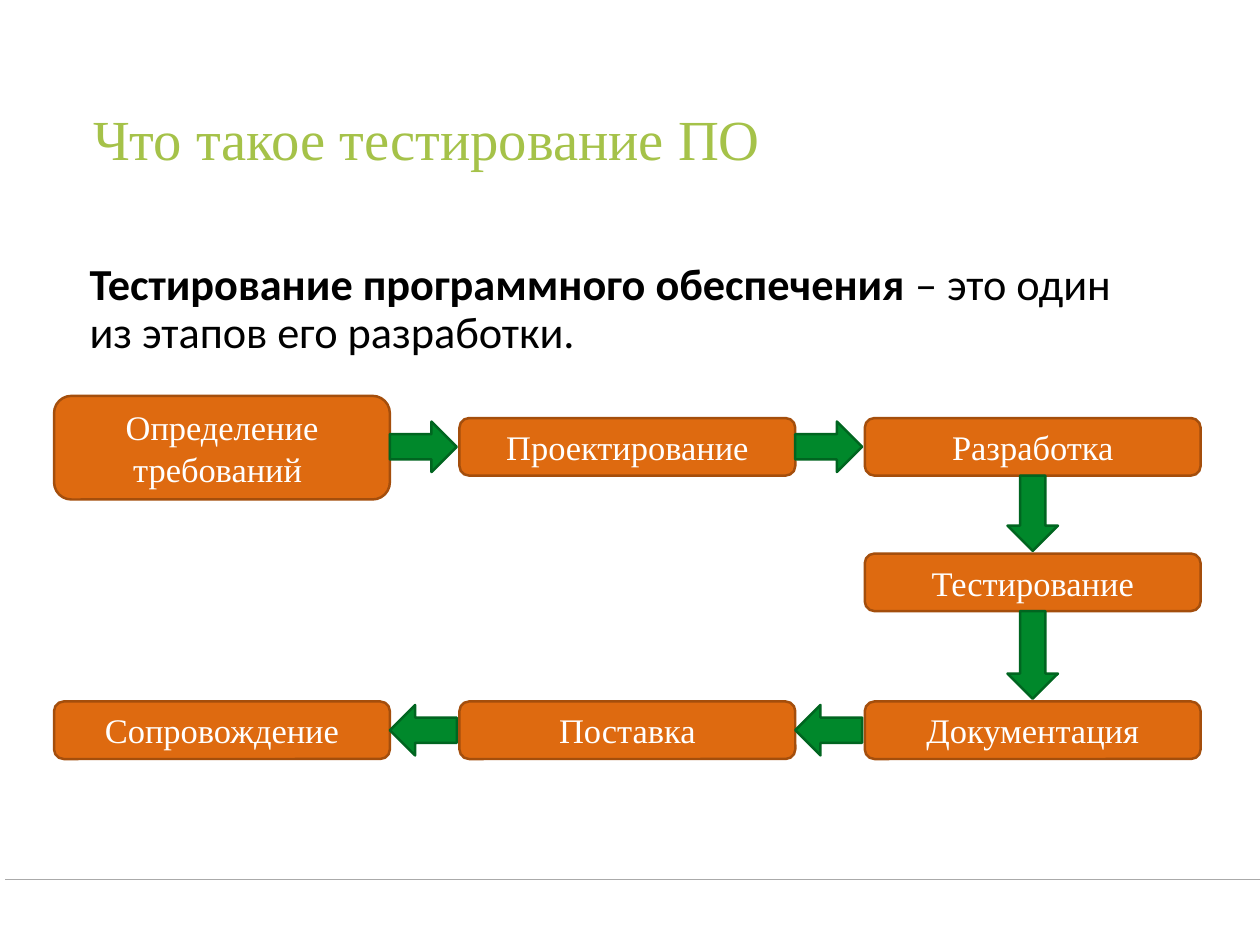
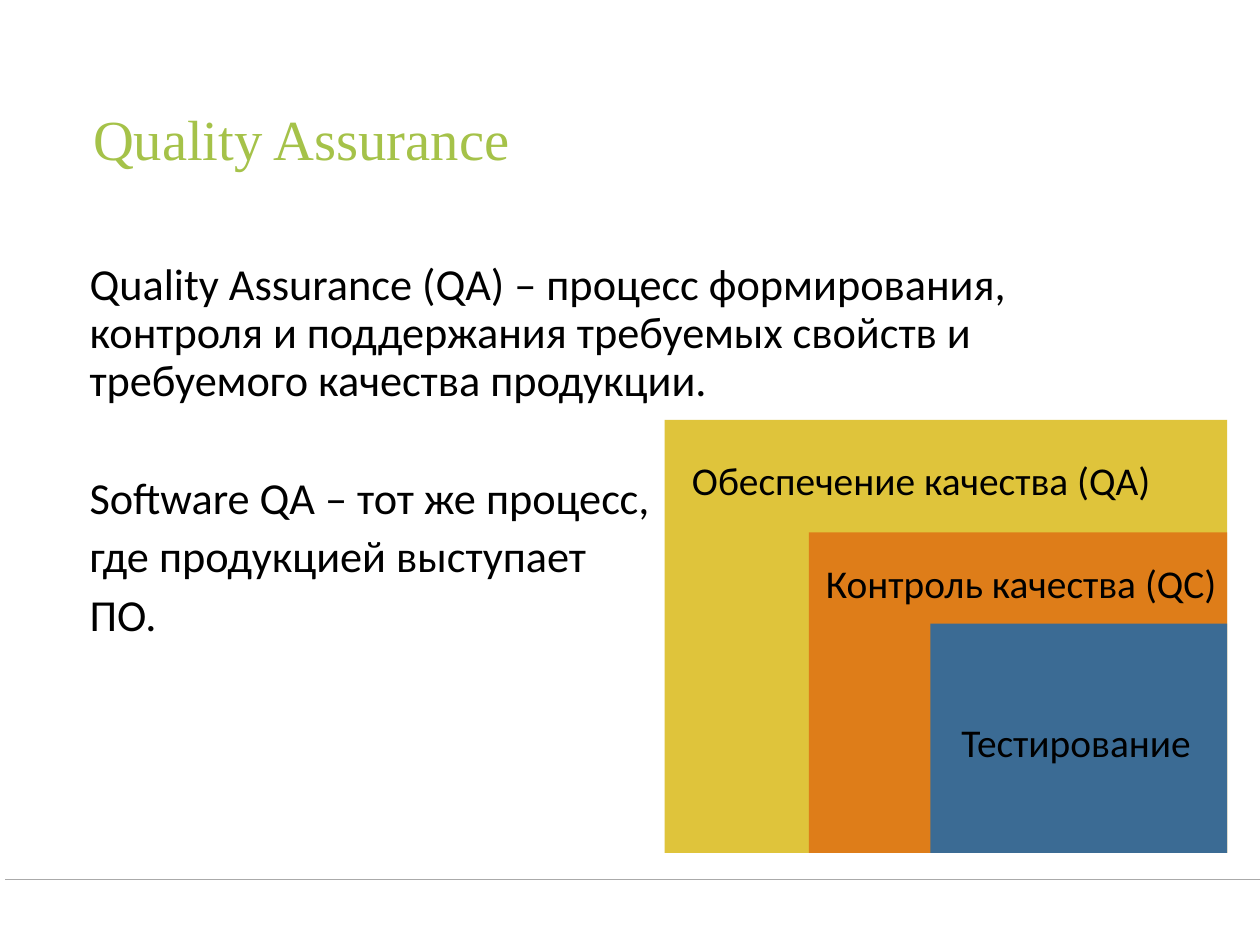
from itertools import pairwise

from lxml.etree import SubElement
from pptx import Presentation
from pptx.dml.color import RGBColor
from pptx.enum.shapes import MSO_CONNECTOR, MSO_SHAPE
from pptx.enum.text import MSO_ANCHOR, MSO_AUTO_SIZE, PP_ALIGN
from pptx.oxml.ns import qn
from pptx.util import Inches, Pt

WIDTH, HEIGHT = 14.22, 10.67
SERIF, SANS = "Times New Roman", "Calibri"
GREEN, ORANGE, BLACK, WHITE = "A5C249", "DE6A10", "000000", "FFFFFF"
TITLE_FONT = dict(name=SERIF, size=Pt(46))
BODY_FONT = dict(name=SANS, size=Pt(36))
STEP_FONT = dict(name=SERIF, size=Pt(28))
LABEL_FONT = dict(name=SANS, size=Pt(32))

# A paragraph is (space before in points, [(text, bold), ...])
TESTING = "Что такое тестирование ПО", [
    (9, [("Тестирование программного обеспечения ", True),
         ("– это один из этапов его разработки.", False)]),
]
QUALITY = "Quality Assurance", [
    (9, [("Quality Assurance (QA) – процесс формирования, контроля и поддержания "
          "требуемых свойств и требуемого качества продукции.", False)]),
    (57, [("Software QA – тот же процесс,", False)]),
    (9, [("где продукцией выступает", False)]),
    (9, [("ПО.", False)]),
]

# Steps in order of flow: text, column, row
STEPS = [
    ("Определение требований ", 0, 0),
    ("Проектирование", 1, 0),
    ("Разработка", 2, 0),
    ("Тестирование", 2, 1),
    ("Документация", 2, 2),
    ("Поставка", 1, 2),
    ("Сопровождение", 0, 2),
]
COL_LEFT, COL_PITCH, STEP_W, STEP_H = 0.61, 4.575, 3.79, 0.65
ROW_TOPS = 4.72, 6.25, 7.92
TALL_TOP, TALL_H = 4.47, 1.17
ARROW_W, ARROW_GAP = 0.57, 0.03

# Nested areas share the bottom right corner: left, top, colour, opacity %
NEST_RIGHT, NEST_BOTTOM = 13.85, 9.63
AREAS = [
    (7.5, 4.74, "DCBD23", 89),
    (9.13, 6.01, ORANGE, 78),
    (10.5, 7.04, "0365C0", 74),
]
LABELS = [
    ("Обеспечение качества (QA)", 7.75, 5.09, 5.34),
    ("Контроль качества (QC)", 9.26, 6.26, 4.59),
    ("Тестирование", 10.79, 8.05, 2.77),
]


def rgb(color):
    return RGBColor.from_string(color)


def apply(target, **values):
    for name, value in values.items():
        setattr(target, name, value)


def inches(*lengths):
    return [Inches(v) for v in lengths]


def set_frame(tf, inset, **values):
    sides = ("left", "top", "right", "bottom")
    apply(tf, **{f"margin_{side}": Inches(inset) for side in sides}, **values)


def add_run(p, text, font, color, bold=False):
    r = p.add_run()
    r.text = text
    apply(r.font, bold=bold, **font)
    r.font.color.rgb = rgb(color)


def add_box(slide, kind, box, fill, line=None):
    sp = slide.shapes.add_shape(kind, *inches(*box))
    sp.shadow.inherit = False
    sp.fill.solid()
    sp.fill.fore_color.rgb = rgb(fill)
    if line:
        sp.line.color.rgb = rgb(line)
        sp.line.width = Pt(2)
    else:
        sp.line.fill.background()
    return sp


def add_slide(prs, title, paragraphs):
    """Add a slide with its title, body text and footer rule."""
    slide = prs.slides.add_slide(prs.slide_layouts[5])
    sp = slide.shapes.title
    apply(sp, **dict(zip(("left", "top", "width", "height"), inches(0.98, 0.57, 12.27, 2.06))))
    tf = sp.text_frame
    set_frame(tf, 0.07, vertical_anchor=MSO_ANCHOR.MIDDLE, auto_size=MSO_AUTO_SIZE.NONE)
    apply(tf.paragraphs[0], alignment=PP_ALIGN.LEFT, line_spacing=0.9)
    add_run(tf.paragraphs[0], title, TITLE_FONT, GREEN)

    tf = slide.shapes.add_textbox(*inches(0.94, 2.89, 12.15, 6.77)).text_frame
    set_frame(tf, 0.07, word_wrap=True)
    for i, (before, runs) in enumerate(paragraphs):
        p = tf.add_paragraph() if i else tf.paragraphs[0]
        apply(p, line_spacing=0.9, space_before=Pt(before))
        for text, bold in runs:
            add_run(p, text, BODY_FONT, BLACK, bold)

    rule = slide.shapes.add_connector(MSO_CONNECTOR.STRAIGHT, *inches(0.06, 9.93, WIDTH, 9.93))
    rule.line.color.rgb = rgb("AAAAAA")
    rule.line.width = Pt(1)
    SubElement(rule._element.spPr, qn("a:effectLst"))
    return slide


def step_box(col, row):
    return COL_LEFT + col * COL_PITCH, ROW_TOPS[row], STEP_W, STEP_H


def add_step(slide, text, col, row):
    x, y, w, h = step_box(col, row)
    if (col, row) == (0, 0):
        y, h = TALL_TOP, TALL_H
    sp = add_box(slide, MSO_SHAPE.ROUNDED_RECTANGLE, (x, y, w, h), ORANGE, "A44E0C")
    tf = sp.text_frame
    set_frame(tf, 0.06, word_wrap=True, vertical_anchor=MSO_ANCHOR.MIDDLE)
    tf.paragraphs[0].alignment = PP_ALIGN.CENTER
    add_run(tf.paragraphs[0], text, STEP_FONT, WHITE)


def add_arrow(slide, start, end):
    """Fill the gap between two neighbouring steps with a block arrow."""
    (x1, y1, w, h), (x2, y2, _, _) = step_box(*start), step_box(*end)
    if x1 == x2:
        kind = MSO_SHAPE.DOWN_ARROW
        box = x1 + (w - ARROW_W) / 2, y1 + h, ARROW_W, y2 - y1 - h - ARROW_GAP
    else:
        kind = MSO_SHAPE.RIGHT_ARROW if x2 > x1 else MSO_SHAPE.LEFT_ARROW
        box = min(x1, x2) + w, y1 + (h - ARROW_W) / 2, COL_PITCH - w - ARROW_GAP, ARROW_W
    add_box(slide, kind, box, "00882B", "006520")


def add_area(slide, x, y, color, opacity):
    sp = add_box(slide, MSO_SHAPE.RECTANGLE, (x, y, NEST_RIGHT - x, NEST_BOTTOM - y), color)
    clr = sp._element.spPr.find(qn("a:solidFill"))[0]
    SubElement(clr, qn("a:alpha"), val=str(opacity * 1000))


def add_label(slide, text, x, y, w):
    tf = slide.shapes.add_textbox(*inches(x, y, w, 0.65)).text_frame
    set_frame(tf, 0.06, word_wrap=False, vertical_anchor=MSO_ANCHOR.MIDDLE)
    add_run(tf.paragraphs[0], text, LABEL_FONT, BLACK)


def main():
    prs = Presentation()
    prs.slide_width, prs.slide_height = inches(WIDTH, HEIGHT)

    slide = add_slide(prs, *TESTING)
    for step in STEPS:
        add_step(slide, *step)
    for (_, *start), (_, *end) in pairwise(STEPS):
        add_arrow(slide, start, end)

    slide = add_slide(prs, *QUALITY)
    for area in AREAS:
        add_area(slide, *area)
    for label in LABELS:
        add_label(slide, *label)

    prs.save("out.pptx")


if __name__ == "__main__":
    main()
